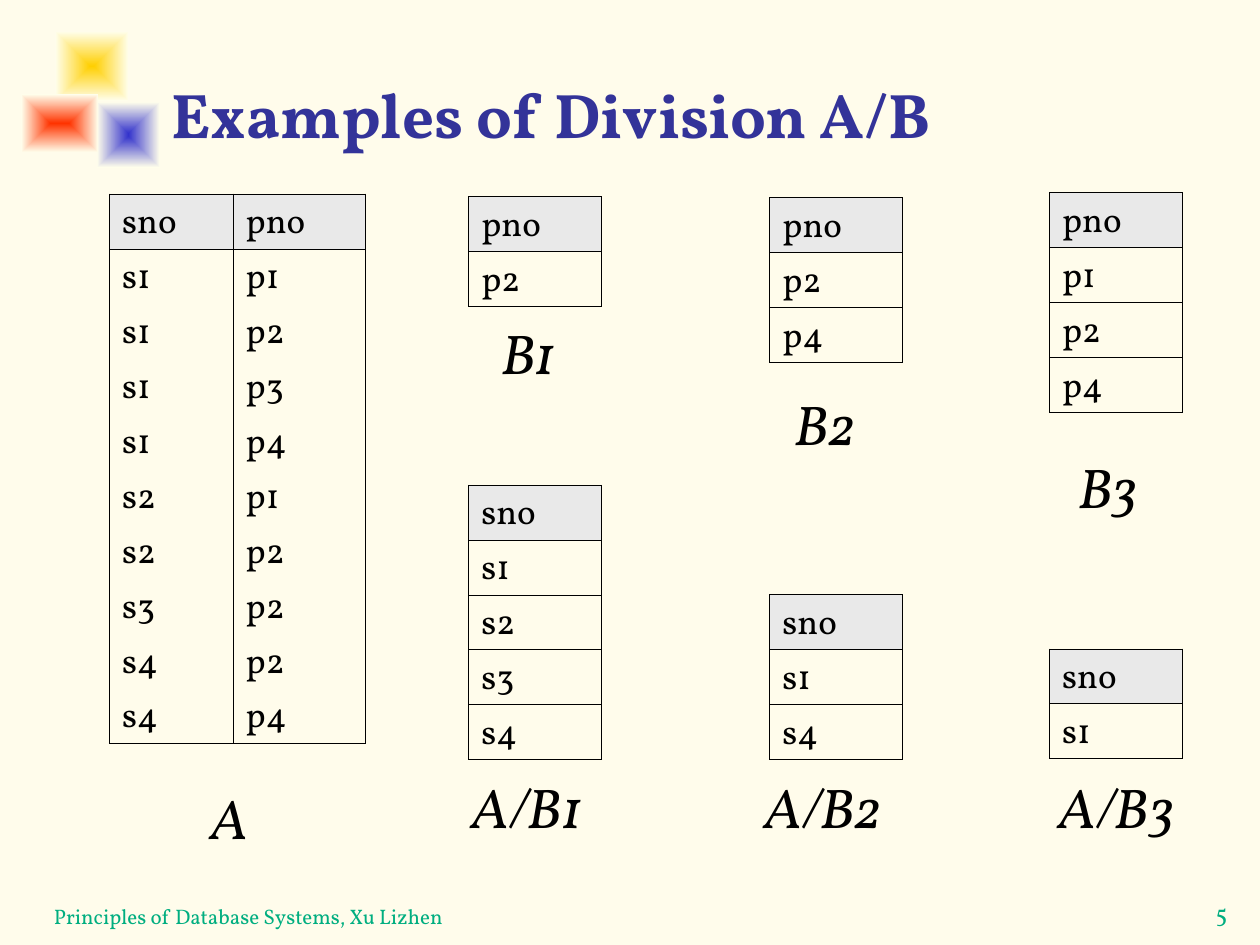
from dataclasses import dataclass

from lxml.etree import SubElement
from pptx import Presentation
from pptx.dml.color import RGBColor
from pptx.enum.shapes import MSO_SHAPE
from pptx.enum.text import MSO_ANCHOR, MSO_AUTO_SIZE, PP_ALIGN
from pptx.oxml import parse_xml
from pptx.oxml.ns import nsdecls, qn
from pptx.util import Inches, Pt

FONT = "Vollkorn"
CREAM = RGBColor(0xFF, 0xFC, 0xEB)
FADE = RGBColor(0xFF, 0xFE, 0xEB)
GOLD = RGBColor(0xFF, 0xCF, 0x01)
BLUE = RGBColor(0x33, 0x33, 0xCC)
RED = RGBColor(0xFF, 0x33, 0x00)
NAVY = RGBColor(0x33, 0x33, 0x99)
GREEN = RGBColor(0x00, 0xAE, 0x80)
GREY = RGBColor(0xE9, 0xE9, 0xE9)
BLACK = RGBColor(0, 0, 0)

# The slide is a grid of 100 columns by 75 rows; all places count its cells.
COLS, ROWS = 100, 75
UNIT = Inches(10) // COLS
LINE = Pt(31.4)  # height of one table row
RULE = Pt(0.45)
PNO_W = 10.5


@dataclass
class Box:
    x: float
    y: float
    w: float
    h: float

    def emu(self) -> list[int]:
        return [round(n * UNIT) for n in (self.x, self.y, self.w, self.h)]


@dataclass
class Square:
    box: Box
    hue: RGBColor


@dataclass
class Label:
    text: str
    box: Box
    size: int = 32
    hue: RGBColor = BLACK
    bold: bool = False
    italic: bool = False
    wrap: bool = False
    anchor: MSO_ANCHOR = MSO_ANCHOR.TOP
    align: PP_ALIGN = PP_ALIGN.LEFT


@dataclass
class Grid:
    x: float
    y: float
    widths: list[float]
    rows: list[str]
    ruled: bool = True


SQUARES = [
    Square(Box(4.4, 2.5, 5.8, 5.5), GOLD),
    Square(Box(7.7, 8.1, 5, 5.2), BLUE),
    Square(Box(1.7, 7.5, 6.1, 4.6), RED),
]

LABELS = [
    Label("5", Box(91, 70.8, 11.9, 3.8), 14, GREEN, align=PP_ALIGN.CENTER),
    Label("Principles of Database Systems, Xu Lizhen", Box(3.3, 69.2, 65, 5),
          12, GREEN, wrap=True, anchor=MSO_ANCHOR.BOTTOM),
    Label("Examples of Division A/B", Box(12.6, 1.7, 85.2, 10.8),
          36, NAVY, bold=True, wrap=True, anchor=MSO_ANCHOR.BOTTOM),
]

NAMES = [
    ("A", 15.7, 61.7, 5.1),
    ("B1", 38.8, 24.8, 7.4), ("B2", 62.1, 30.4, 7.4), ("B3", 84.6, 35.4, 7.4),
    ("A/B1", 36.4, 60.8, 11.8), ("A/B2", 59.7, 60.8, 11.8),
    ("A/B3", 83, 60.8, 11.8),
]
LABELS += [Label(text, Box(x, y, w, 6.3), italic=True) for text, x, y, w in NAMES]

GRIDS = [
    Grid(8.7, 15.4, [9.8, PNO_W],
         ["sno pno", "s1 p1", "s1 p2", "s1 p3", "s1 p4", "s2 p1",
          "s2 p2", "s3 p2", "s4 p2", "s4 p4"], ruled=False),
    Grid(37.2, 15.6, [PNO_W], ["pno", "p2"]),
    Grid(61.1, 15.7, [PNO_W], ["pno", "p2", "p4"]),
    Grid(61.1, 47.2, [PNO_W], ["sno", "s1", "s4"]),
    Grid(37.2, 38.5, [PNO_W], ["sno", "s1", "s2", "s3", "s4"]),
    Grid(83.3, 15.3, [PNO_W], ["pno", "p1", "p2", "p4"]),
    Grid(83.3, 51.5, [PNO_W], ["sno", "s1"]),
]


def style(run, **looks) -> None:
    hue = looks.pop("hue")
    for key, value in looks.items():
        setattr(run.font, key, value)
    run.font.name = FONT
    run.font.color.rgb = hue


def draw_square(slide, item: Square) -> None:
    """Draw a square that fades from its centre into the background."""
    shape = slide.shapes.add_shape(MSO_SHAPE.RECTANGLE, *item.box.emu())
    shape.shadow.inherit = False
    shape.line.fill.background()
    shape.fill.background()
    props = shape.element.spPr
    fade = parse_xml(
        f'<a:gradFill {nsdecls("a")} rotWithShape="1"><a:gsLst>'
        f'<a:gs pos="0"><a:srgbClr val="{item.hue}"/></a:gs>'
        f'<a:gs pos="100000"><a:srgbClr val="{FADE}"/></a:gs></a:gsLst>'
        '<a:path path="rect"><a:fillToRect l="50000" t="50000" r="50000" '
        'b="50000"/></a:path></a:gradFill>')
    props.replace(props.find(qn("a:noFill")), fade)


def draw_label(slide, item: Label) -> None:
    frame = slide.shapes.add_textbox(*item.box.emu()).text_frame
    looks = {
        "word_wrap": item.wrap,
        "vertical_anchor": item.anchor,
        "auto_size": (MSO_AUTO_SIZE.NONE if item.wrap
                      else MSO_AUTO_SIZE.SHAPE_TO_FIT_TEXT),
    }
    for key, value in looks.items():
        setattr(frame, key, value)
    para = frame.paragraphs[0]
    para.alignment = item.align
    run = para.add_run()
    run.text = item.text
    style(run, size=Pt(item.size), bold=item.bold, italic=item.italic, hue=item.hue)


def edge(cell, side: str, shown: bool) -> None:
    line = SubElement(cell._tc.get_or_add_tcPr(), qn(f"a:ln{side}"), w=str(RULE))
    if shown:
        fill = SubElement(line, qn("a:solidFill"))
        SubElement(fill, qn("a:srgbClr"), val=str(BLACK))
    else:
        SubElement(line, qn("a:noFill"))


def draw_grid(slide, item: Grid) -> None:
    count = len(item.rows)
    box = Box(item.x, item.y, sum(item.widths), count * LINE / UNIT)
    table = slide.shapes.add_table(count, len(item.widths), *box.emu()).table
    table.first_row = table.horz_banding = False
    for col, width in zip(table.columns, item.widths):
        col.width = round(width * UNIT)
    for i, text in enumerate(item.rows):
        table.rows[i].height = LINE
        for j, word in enumerate(text.split()):
            cell = table.cell(i, j)
            sides = {"L": True, "R": True, "T": item.ruled or i < 2,
                     "B": item.ruled or i in (0, count - 1)}
            for side, shown in sides.items():
                edge(cell, side, shown)
            if i == 0:
                cell.fill.solid()
                cell.fill.fore_color.rgb = GREY
            else:
                cell.fill.background()
            run = cell.text_frame.paragraphs[0].add_run()
            run.text = word
            style(run, size=Pt(20), hue=BLACK)


def main() -> None:
    deck = Presentation()
    deck.slide_width, deck.slide_height = COLS * UNIT, ROWS * UNIT
    slide = deck.slides.add_slide(deck.slide_layouts[6])
    slide.background.fill.solid()
    slide.background.fill.fore_color.rgb = CREAM
    for draw, items in ((draw_square, SQUARES), (draw_label, LABELS),
                        (draw_grid, GRIDS)):
        for item in items:
            draw(slide, item)
    deck.save("out.pptx")


if __name__ == "__main__":
    main()
